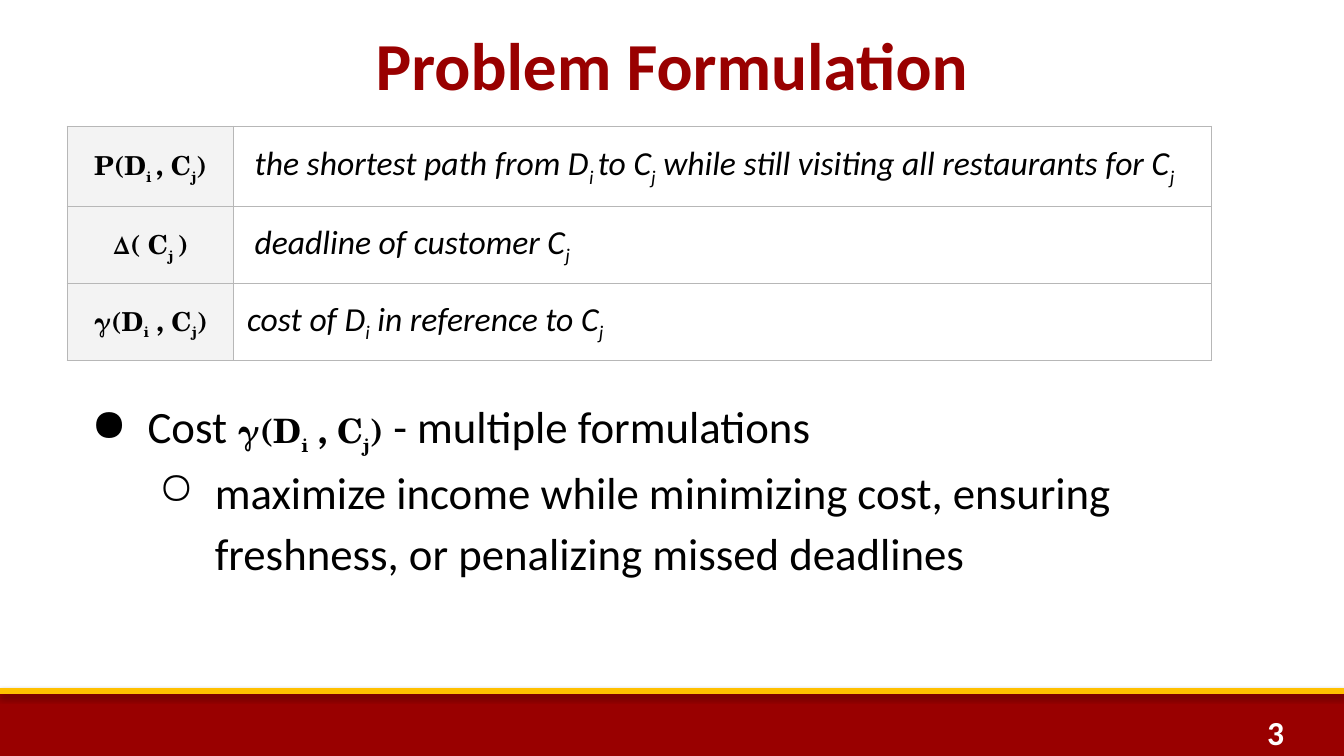
import pptx
import pptx.dml.color
import pptx.enum.shapes
import pptx.enum.text
import pptx.oxml
import pptx.oxml.ns
import pptx.util
from pptx.util import Cm

RED = pptx.dml.color.RGBColor(0x99, 0x00, 0x00)
GOLD = pptx.dml.color.RGBColor(0xFF, 0xC0, 0x00)
WHITE = pptx.dml.color.RGBColor(0xFF, 0xFF, 0xFF)
BLACK = pptx.dml.color.RGBColor(0x00, 0x00, 0x00)
PALE_GRAY = pptx.dml.color.RGBColor(0xF3, 0xF3, 0xF3)
BORDER_GRAY = pptx.dml.color.RGBColor(0xB7, 0xB7, 0xB7)

TEXT_FONT = "Calibri"
MATH_FONT = "TeX Gyre Schola"
SLIDE_WIDTH, SLIDE_HEIGHT = Cm(25.4), Cm(14.29)
BAND_TOP = Cm(13.01)
CENTER = pptx.enum.text.PP_ALIGN.CENTER
MIDDLE = pptx.enum.text.MSO_ANCHOR.MIDDLE

# In each sequence of pieces, every second piece is a subscript.
COST_SYMBOL = ("γ(D", "i", " , C", "j", ")")
DEFINITIONS = [
    (("P(D", "i ", ", C", "j", ")"),
     (" the shortest path from D", "i ", "to C", "j",
      " while still visiting all restaurants for C", "j")),
    (("∆( C", "j ", ")"), (" deadline of customer C", "j")),
    (COST_SYMBOL, ("cost of D", "i", " in reference to C", "j")),
]


def make_element(xml):
    """Parse one DrawingML element given without its namespace declaration."""
    tag, rest = xml.split(" ", 1)
    return pptx.oxml.parse_xml(f"{tag} {pptx.oxml.ns.nsdecls('a')} {rest}")


def add_pieces(paragraph, pieces, size, font=TEXT_FONT, color=BLACK, bold=False, italic=False):
    for index, piece in enumerate(pieces):
        run = paragraph.add_run()
        run.text = piece
        run.font.name = font
        run.font.size = pptx.util.Pt(size)
        run.font.bold = bold
        run.font.italic = italic
        run.font.color.rgb = color
        if index % 2:
            run._r.get_or_add_rPr().set("baseline", "-25000")


def add_text_box(slide, left, top, width, height):
    text_frame = slide.shapes.add_textbox(left, top, width, height).text_frame
    text_frame.word_wrap = True
    return text_frame


def add_band(slide, height, color):
    """Add a full-width bar with a soft shadow below it."""
    band = slide.shapes.add_shape(
        pptx.enum.shapes.MSO_SHAPE.RECTANGLE, 0, BAND_TOP, SLIDE_WIDTH, height)
    band.fill.solid()
    band.fill.fore_color.rgb = color
    band.line.fill.background()
    band.shadow.inherit = False
    effects = band._element.spPr.find(pptx.oxml.ns.qn("a:effectLst"))
    effects.append(make_element(
        '<a:outerShdw blurRad="39370" dist="22860" dir="5400000" rotWithShape="0">'
        '<a:srgbClr val="000000"><a:alpha val="35000"/></a:srgbClr></a:outerShdw>'))
    return band


def add_footer(slide):
    add_band(slide, SLIDE_HEIGHT - BAND_TOP, RED)
    number = add_text_box(slide, Cm(23.7), Cm(13.34), Cm(1.27), Cm(0.76))
    add_pieces(number.paragraphs[0], ["3"], 18, color=WHITE, bold=True)
    stripe = add_band(slide, Cm(0.1), GOLD)
    stripe.line.color.rgb = GOLD
    stripe.line.width = pptx.util.Pt(0.75)


def add_title(slide):
    title = add_text_box(slide, Cm(1.27), 0, Cm(22.86), Cm(2.39))
    title.vertical_anchor = MIDDLE
    title.paragraphs[0].alignment = CENTER
    add_pieces(title.paragraphs[0], ["Problem Formulation"], 36, color=RED, bold=True)


def format_bullet(paragraph, character, level):
    paragraph.level = level
    paragraph.line_spacing = 1.15
    properties = paragraph._p.get_or_add_pPr()
    properties.set("marL", str(Cm(1.27 * (level + 1))))
    properties.set("indent", str(-Cm(1.06)))
    properties.append(make_element(f'<a:buClr ><a:srgbClr val="{BLACK}"/></a:buClr>'))
    properties.append(make_element(f'<a:buChar char="{character}"/>'))


def add_bullets(slide):
    body = add_text_box(slide, Cm(1.27), Cm(7.26), Cm(22.86), Cm(5.08))
    cost = body.paragraphs[0]
    format_bullet(cost, "●", 0)
    add_pieces(cost, ["Cost "], 24)
    add_pieces(cost, COST_SYMBOL, 18, MATH_FONT, bold=True)
    add_pieces(cost, [" - multiple formulations"], 24)
    goals = body.add_paragraph()
    format_bullet(goals, "○", 1)
    add_pieces(goals, ["maximize income while minimizing cost, ensuring freshness, "
                       "or penalizing missed deadlines"], 24)


def format_cell(cell):
    cell.vertical_anchor = MIDDLE
    cell.margin_left = cell.margin_right = Cm(0.25)
    cell.margin_top = cell.margin_bottom = Cm(0.25)
    properties = cell._tc.get_or_add_tcPr()
    for index, side in enumerate("LRTB"):
        properties.insert(index, make_element(
            f'<a:ln{side} w="9525"><a:solidFill><a:srgbClr val="{BORDER_GRAY}"/>'
            f'</a:solidFill></a:ln{side}>'))


def add_definition_table(slide):
    column_widths = [Cm(3.15), Cm(18.47)]
    row_heights = [Cm(1.52), Cm(1.45), Cm(1.45)]
    table = slide.shapes.add_table(
        len(row_heights), len(column_widths), Cm(1.27), Cm(2.39),
        sum(column_widths), sum(row_heights)).table
    table.first_row = table.horz_banding = False
    for column, width in zip(table.columns, column_widths):
        column.width = width
    for row, height, (symbol, meaning) in zip(table.rows, row_heights, DEFINITIONS):
        row.height = height
        symbol_cell, meaning_cell = row.cells
        for cell in row.cells:
            format_cell(cell)
        symbol_cell.fill.solid()
        symbol_cell.fill.fore_color.rgb = PALE_GRAY
        meaning_cell.fill.background()
        symbol_paragraph = symbol_cell.text_frame.paragraphs[0]
        symbol_paragraph.alignment = CENTER
        add_pieces(symbol_paragraph, symbol, 14, MATH_FONT, bold=True)
        add_pieces(meaning_cell.text_frame.paragraphs[0], meaning, 18, italic=True)


def main():
    presentation = pptx.Presentation()
    presentation.slide_width = SLIDE_WIDTH
    presentation.slide_height = SLIDE_HEIGHT
    slide = presentation.slides.add_slide(presentation.slide_layouts[6])
    add_footer(slide)
    add_title(slide)
    add_bullets(slide)
    add_definition_table(slide)
    presentation.save("out.pptx")


if __name__ == "__main__":
    main()
